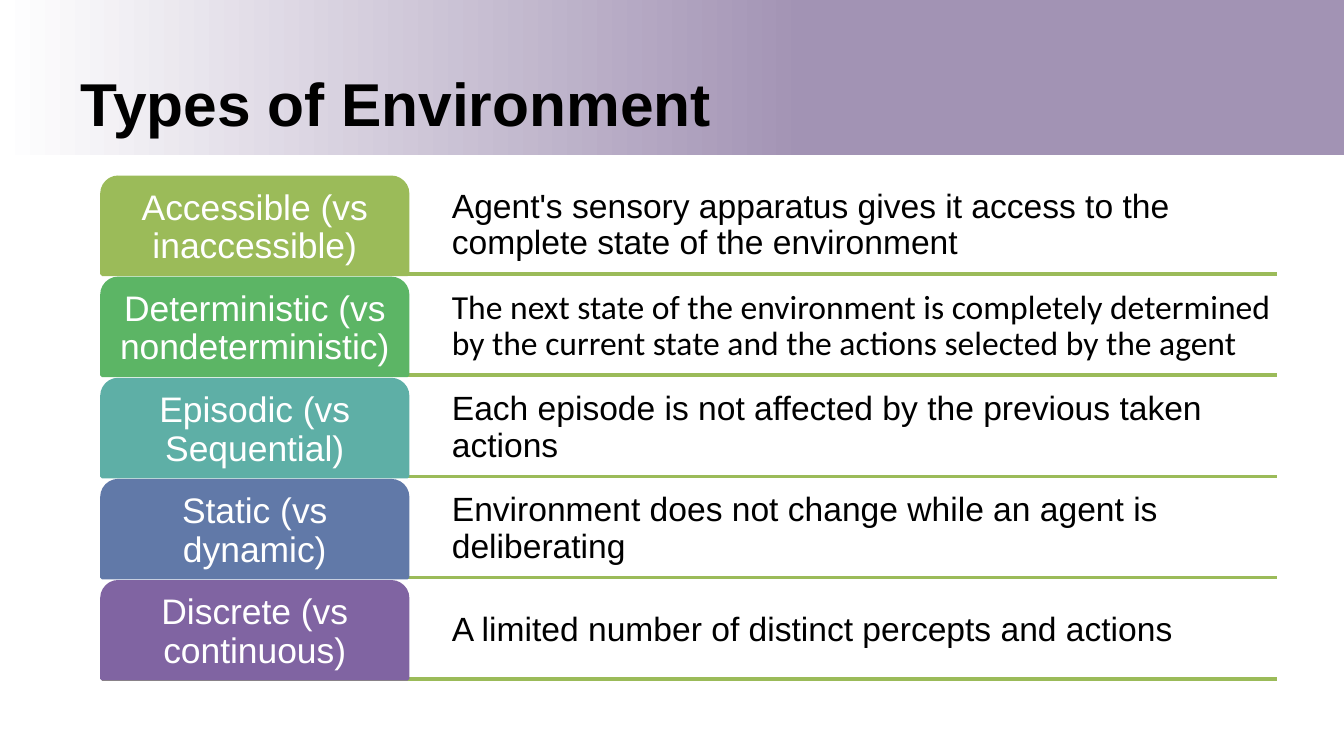
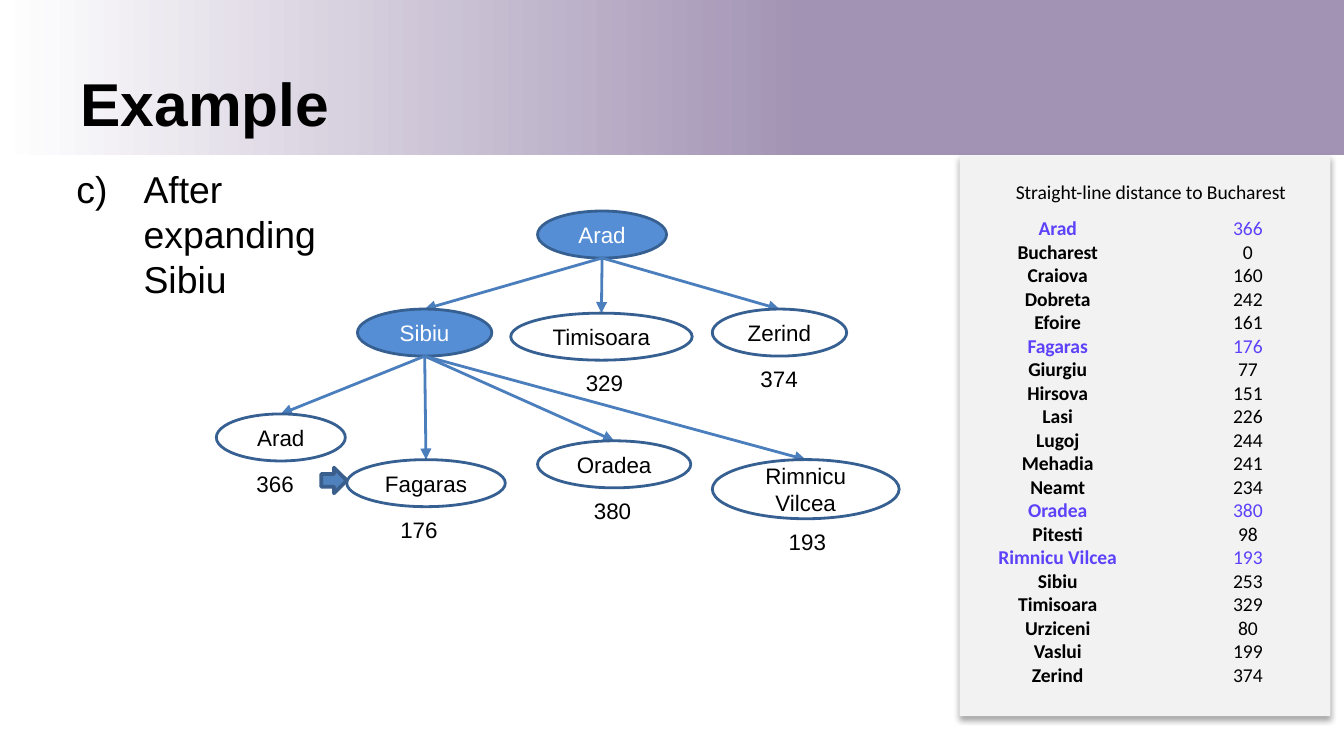
from dataclasses import dataclass

from lxml.etree import SubElement
from pptx import Presentation
from pptx.dml.color import RGBColor
from pptx.enum.shapes import MSO_CONNECTOR, MSO_SHAPE
from pptx.enum.text import MSO_ANCHOR, MSO_AUTO_SIZE, PP_ALIGN
from pptx.oxml.ns import qn
from pptx.util import Inches, Pt

WIDTH = 10
HEIGHT = WIDTH * 9 / 16
WHITE = RGBColor(0xFF, 0xFF, 0xFF)
BLACK = RGBColor(0, 0, 0)
BAND = RGBColor(0xA2, 0x93, 0xB4)
GREEN = RGBColor(0x9B, 0xBB, 0x59)
EMERALD = RGBColor(0x5C, 0xB5, 0x65)
TEAL = RGBColor(0x5E, 0xAF, 0xA6)
SLATE = RGBColor(0x61, 0x79, 0xA8)
PURPLE = RGBColor(0x80, 0x64, 0xA2)
PANEL = RGBColor(0xF2, 0xF2, 0xF2)
VIOLET = RGBColor(0x5C, 0x42, 0xFA)
NODE = RGBColor(0x55, 0x8E, 0xD5)
NODE_EDGE = RGBColor(0x37, 0x60, 0x92)
BRANCH = RGBColor(0x4B, 0x7E, 0xBC)
MARKER = RGBColor(0x4F, 0x81, 0xBD)
MARKER_EDGE = RGBColor(0x3A, 0x5F, 0x8C)

TITLE = {"name": "Arial", "size": Pt(32.4), "bold": True, "color": BLACK}
BODY = {"name": "Arial", "size": Pt(20), "color": BLACK}
TAB = {"name": "Arial", "size": Pt(19), "color": WHITE}
DETAIL = {"name": "Arial", "size": Pt(18), "color": BLACK}
NODE_TEXT = {"name": "Arial", "size": Pt(12), "color": BLACK}
LIST = {"name": "Calibri", "size": Pt(10.5), "color": BLACK}

ENVIRONMENTS = [
    ("Accessible (vs inaccessible)", GREEN, "Arial",
     "Agent's sensory apparatus gives it access to the complete state of the environment"),
    ("Deterministic (vs nondeterministic)", EMERALD, "Calibri",
     "The next state of the environment is completely determined by the current state "
     "and the actions selected by the agent"),
    ("Episodic (vs Sequential)", TEAL, "Arial",
     "Each episode is not affected by the previous taken actions"),
    ("Static (vs dynamic)", SLATE, "Arial",
     "Environment does not change while an agent is deliberating"),
    ("Discrete (vs continuous)", PURPLE, "Arial",
     "A limited number of distinct percepts and actions"),
]

DISTANCES = {
    "Arad": 366, "Bucharest": 0, "Craiova": 160, "Dobreta": 242, "Efoire": 161,
    "Fagaras": 176, "Giurgiu": 77, "Hirsova": 151, "Lasi": 226, "Lugoj": 244,
    "Mehadia": 241, "Neamt": 234, "Oradea": 380, "Pitesti": 98,
    "Rimnicu Vilcea": 193, "Sibiu": 253, "Timisoara": 329, "Urziceni": 80,
    "Vaslui": 199, "Zerind": 374,
}
HIGHLIGHTED = {"Arad", "Fagaras", "Oradea", "Rimnicu Vilcea"}


@dataclass
class Box:
    """A region in inches, divided into columns and rows."""
    x: float
    y: float
    w: float
    h: float
    cols: float = 1
    rows: float = 1

    def cell(self, col, row, wide, high):
        """Return the region that covers the given grid cells."""
        dx, dy = self.w / self.cols, self.h / self.rows
        return Box(self.x + col * dx, self.y + row * dy, wide * dx, high * dy)

    def emu(self):
        """Return left, top, width and height as lengths."""
        return [Inches(v) for v in (self.x, self.y, self.w, self.h)]


@dataclass
class City:
    """A search-tree node, in columns and rows of the tree."""
    name: str
    col: float
    row: float
    wide: float
    high: float = 7
    fill: RGBColor = WHITE
    label_col: float = None


ROOT = City("Arad", 47.8, 0, 19.2, fill=NODE)
SIBIU = City("Sibiu", 21, 14.6, 20, fill=NODE)
BRANCHES = [
    (ROOT, [SIBIU,
            City("Timisoara", 43.8, 15.2, 27, label_col=53),
            City("Zerind", 73.8, 14.6, 20, label_col=79)]),
    (SIBIU, [City("Arad", 0, 30.2, 19.2, label_col=4),
             City("Fagaras", 19.4, 37, 23.6, fill=None, label_col=25.4),
             City("Oradea", 47.8, 34.2, 22.8, label_col=54.2),
             City("Rimnicu Vilcea", 73.8, 37, 27.8, 8.8, label_col=83.2)]),
]


def write(tf, lines, fmt, align=PP_ALIGN.LEFT, anchor=MSO_ANCHOR.TOP, inset=(0.1, 0.05), spacing=None):
    """Fill a text frame with (text, overrides) lines and return its paragraphs."""
    dx, dy = (Inches(v) for v in inset)
    frame = {"word_wrap": True, "auto_size": MSO_AUTO_SIZE.NONE, "vertical_anchor": anchor,
             "margin_left": dx, "margin_right": dx, "margin_top": dy, "margin_bottom": dy}
    for key, value in frame.items():
        setattr(tf, key, value)
    for i, (text, extra) in enumerate(lines):
        p = tf.add_paragraph() if i else tf.paragraphs[0]
        p.alignment, p.line_spacing = align, spacing
        r = p.add_run()
        r.text = text
        for key, value in {**fmt, **extra}.items():
            if key == "color":
                r.font.color.rgb = value
            else:
                setattr(r.font, key, value)
    return tf.paragraphs


def textbox(s, box, lines, fmt, **options):
    """Add a text box and return its paragraphs."""
    return write(s.shapes.add_textbox(*box.emu()).text_frame, lines, fmt, **options)


def shape(s, kind, box, fill=None, edge=None, width=1.5):
    """Add a flat preset shape."""
    sp = s.shapes.add_shape(kind, *box.emu())
    sp.shadow.inherit = False
    if fill is None:
        sp.fill.background()
    else:
        sp.fill.solid()
        sp.fill.fore_color.rgb = fill
    if edge is None:
        sp.line.fill.background()
    else:
        sp.line.color.rgb, sp.line.width = edge, Pt(width)
    return sp


def line(s, start, end, color, width, arrow=False):
    """Add a straight line, with an arrowhead at its end on request."""
    points = [Inches(v) for v in (*start, *end)]
    cn = s.shapes.add_connector(MSO_CONNECTOR.STRAIGHT, *points)
    cn.line.color.rgb, cn.line.width = color, Pt(width)
    if arrow:
        SubElement(cn.line._get_or_add_ln(), qn("a:tailEnd"), type="triangle")
    SubElement(cn._element.spPr, qn("a:effectLst"))


def indent(p, left, first=0):
    """Set a paragraph's left and first-line indents and return its properties."""
    pPr = p._p.get_or_add_pPr()
    pPr.set("marL", str(Inches(left)))
    pPr.set("indent", str(Inches(first)))
    return pPr


def title_band(s, layout):
    """Put the gradient band behind everything on the layout."""
    sp = shape(s, MSO_SHAPE.RECTANGLE, Box(0, 0, WIDTH, 1.15))
    sp.fill.gradient()
    sp.fill.gradient_angle = 0
    for stop, color, position in zip(sp.fill.gradient_stops, (WHITE, BAND), (0, 0.6)):
        stop.color.rgb, stop.position = color, position
    layout.shapes._spTree.insert(2, sp._element)


def titled_slide(prs, layout, text):
    """Add a slide with a formatted title."""
    s = prs.slides.add_slide(layout)
    title = s.shapes.title
    title.left, title.top, title.width, title.height = Box(0.5, 0.46, 9, 0.6).emu()
    write(title.text_frame, [(text, {})], TITLE, anchor=MSO_ANCHOR.MIDDLE)
    return s


def environment_rows(s, box):
    """Lay out the coloured tabs with their descriptions and rules."""
    high, tab_share = 0.72, 0.26
    pitch = (box.h - high) / (len(ENVIRONMENTS) - 1)
    rows = [Box(box.x, box.y + i * pitch, box.w, high) for i in range(len(ENVIRONMENTS))]
    for row in rows:
        bottom = row.y + row.h
        line(s, (row.x, bottom), (row.x + row.w, bottom), GREEN, 2)
    centred = {"anchor": MSO_ANCHOR.MIDDLE, "inset": (0.04, 0.04), "spacing": 0.9}
    for row, (name, color, font, text) in zip(rows, ENVIRONMENTS):
        p, = textbox(s, row.cell(tab_share, 0, 1 - tab_share, 1),
                     [(text, {"name": font})], DETAIL, **centred)
        indent(p, 0.29)
        tab = shape(s, MSO_SHAPE.ROUND_2_SAME_RECTANGLE, row.cell(0, 0, tab_share, 1), color, color, 2)
        write(tab.text_frame, [(name, {})], TAB, align=PP_ALIGN.CENTER, **centred)


def step_text(s, box):
    """Write the lettered step."""
    p, = textbox(s, box, [("After expanding Sibiu", {})], BODY)
    SubElement(indent(p, 0.5, -0.5), qn("a:buAutoNum"), type="alphaLcParenR", startAt="3")


def distance_panel(s, box):
    """Draw the shadowed panel with the distance list."""
    panel = shape(s, MSO_SHAPE.RECTANGLE, box, PANEL)
    effects = panel._element.spPr.find(qn("a:effectLst"))
    shadow = SubElement(effects, qn("a:outerShdw"), blurRad=str(Pt(3.1)), dist=str(Pt(1.8)),
                        dir="5400000", algn="t", rotWithShape="0")
    color = SubElement(shadow, qn("a:srgbClr"), val=str(BLACK))
    SubElement(color, qn("a:alpha"), val="35000")
    textbox(s, Box(box.x + 0.32, box.y + 0.13, 2.4, 0.27),
            [("Straight-line distance to Bucharest", {})], LIST)
    columns = [(0.09, 1.28, DISTANCES.keys(), True), (1.63, 1.03, DISTANCES.values(), False)]
    for dx, wide, entries, bold in columns:
        lines = [(str(entry), {"color": VIOLET if city in HIGHLIGHTED else BLACK})
                 for city, entry in zip(DISTANCES, entries)]
        textbox(s, Box(box.x + dx, box.y + 0.4, wide, 3.87), lines,
                {**LIST, "bold": bold}, align=PP_ALIGN.CENTER)


def city_node(s, box, city):
    """Draw one city with its distance below."""
    sp = shape(s, MSO_SHAPE.OVAL, box.cell(city.col, city.row, city.wide, city.high), city.fill, NODE_EDGE)
    color = WHITE if city.fill == NODE else BLACK
    write(sp.text_frame, [(city.name, {"color": color})], NODE_TEXT,
          align=PP_ALIGN.CENTER, anchor=MSO_ANCHOR.MIDDLE, inset=(0.05, 0.05))
    if city.label_col is not None:
        label = box.cell(city.label_col, city.row + city.high + 0.4, 16.2, 6)
        textbox(s, label, [(str(DISTANCES[city.name]), {})], NODE_TEXT)


def search_tree(s, box):
    """Draw the tree, its arrows and the marker of the next node."""
    city_node(s, box, ROOT)
    for parent, children in BRANCHES:
        start = box.cell(parent.col + parent.wide / 2, parent.row + parent.high, 0, 0)
        for child in children:
            end = box.cell(child.col + child.wide / 2, child.row, 0, 0)
            line(s, (start.x, start.y), (end.x, end.y), BRANCH, 1.5, arrow=True)
            city_node(s, box, child)
    shape(s, MSO_SHAPE.RIGHT_ARROW, box.cell(15.6, 38.2, 3.8, 3.8), MARKER, MARKER_EDGE, 2)


def main():
    """Build and save the presentation."""
    prs = Presentation()
    prs.slide_width, prs.slide_height = Inches(WIDTH), Inches(HEIGHT)
    layout = prs.slide_layouts[5]

    s = titled_slide(prs, layout, "Types of Environment")
    title_band(s, layout)
    environment_rows(s, Box(0.76, 1.32, 8.74, 3.73))

    s = titled_slide(prs, layout, "Example")
    distance_panel(s, Box(7.14, 1.16, 2.76, 4.17))
    step_text(s, Box(0.47, 1.19, 2.2, 1.11))
    search_tree(s, Box(1.61, 1.57, 5.1, 2.3, cols=102, rows=46))

    prs.save("out.pptx")


if __name__ == "__main__":
    main()
